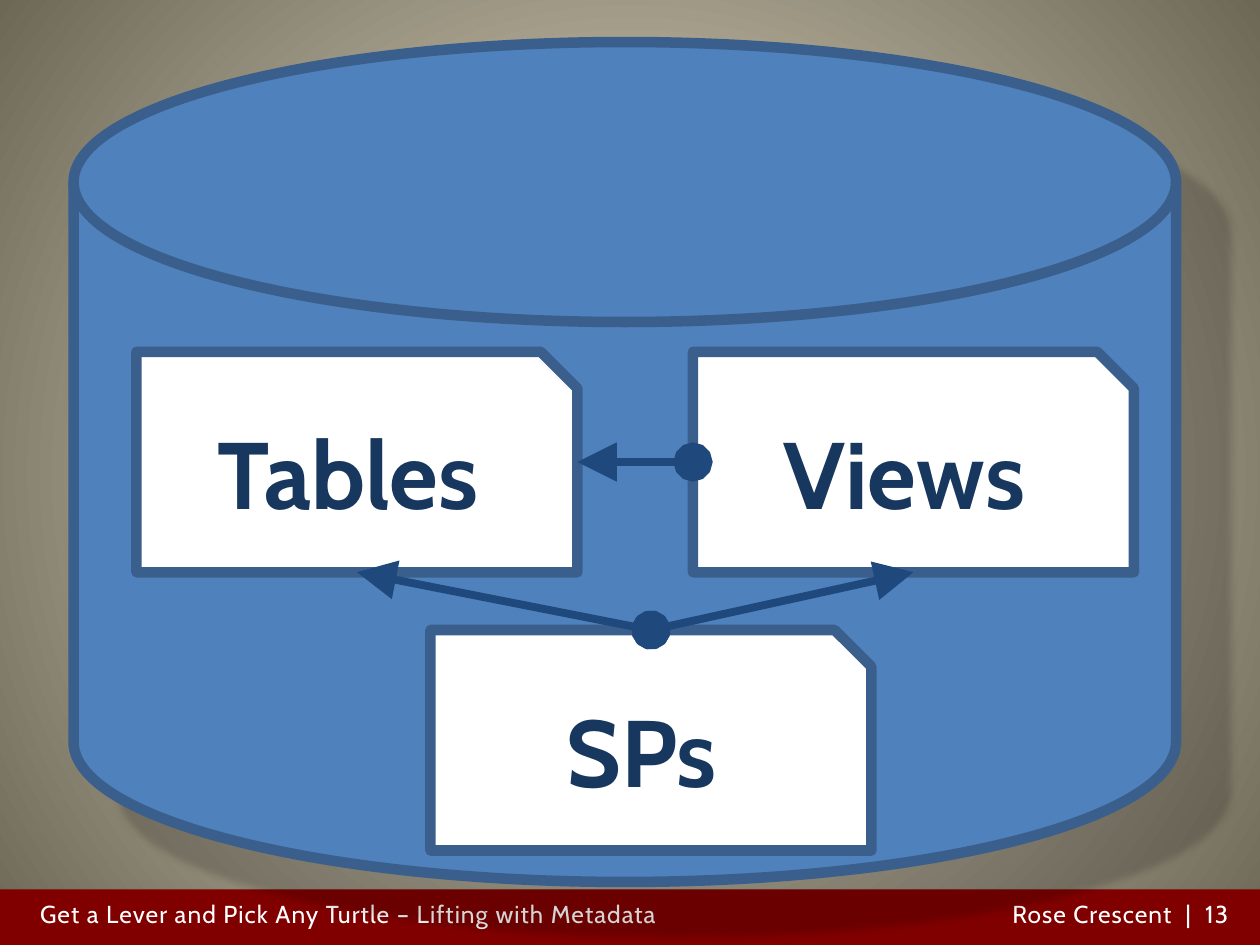
from lxml import etree
from pptx import Presentation
from pptx.dml.color import RGBColor
from pptx.enum.shapes import MSO_CONNECTOR, MSO_SHAPE
from pptx.enum.text import MSO_ANCHOR, PP_ALIGN
from pptx.oxml import parse_xml
from pptx.util import Pt

RECT = MSO_SHAPE.RECTANGLE
DISK = MSO_SHAPE.FLOWCHART_MAGNETIC_DISK
CARD = MSO_SHAPE.SNIP_1_RECTANGLE
LINE = MSO_CONNECTOR.STRAIGHT
MIDDLE = MSO_ANCHOR.MIDDLE
LEFT, CENTER, RIGHT = PP_ALIGN.LEFT, PP_ALIGN.CENTER, PP_ALIGN.RIGHT
NS = "http://schemas.openxmlformats.org/drawingml/2006/main"


def rgb(code):
    return RGBColor.from_string(code)


def add_box(kind, x, y, w, h, fill, edge=None, shade=None):
    box = slide.shapes.add_shape(kind, Pt(x), Pt(y), Pt(w), Pt(h))
    box.shadow.inherit = False
    box.fill.solid()
    box.fill.fore_color.rgb = rgb(fill)
    if edge:
        box.line.color.rgb = rgb(edge)
        box.line.width = Pt(6)
        etree.SubElement(box.line._get_or_add_ln(), f"{{{NS}}}round")
    else:
        box.line.fill.background()
    if shade:
        alpha, blur, dist, angle = shade
        effects = box._element.spPr.find(f"{{{NS}}}effectLst")
        effects.append(parse_xml(
            f'<a:outerShdw xmlns:a="{NS}" blurRad="{Pt(blur)}" dist="{Pt(dist)}" '
            f'dir="{angle * 60000}" algn="tl" rotWithShape="0"><a:srgbClr val="000000">'
            f'<a:alpha val="{alpha * 1000}"/></a:srgbClr></a:outerShdw>'))
    return box


deck = Presentation()
deck.slide_width, deck.slide_height = Pt(720), Pt(540)
slide = deck.slides.add_slide(deck.slide_layouts[6])

# Background: light centre, dark corners
back = slide.background.fill
back.gradient()
grad = slide._element.cSld.find(f".//{{{NS}}}gradFill")
grad.getparent().replace(grad, parse_xml(
    f'<a:gradFill xmlns:a="{NS}" rotWithShape="1"><a:gsLst>'
    '<a:gs pos="0"><a:srgbClr val="ECE6D0"/></a:gs>'
    '<a:gs pos="100000"><a:srgbClr val="6D6756"><a:alpha val="70000"/></a:srgbClr></a:gs>'
    '</a:gsLst><a:path path="circle">'
    '<a:fillToRect l="50000" t="50000" r="50000" b="50000"/></a:path></a:gradFill>'))

# Footer band and its texts
add_box(RECT, 0, 508.3, 720, 31.7, "800000", shade=(35, 3.1, 1.8, 90))
notes = [
    ("Get a Lever and Pick Any Turtle – Lifting with Metadata", 15.8, 511.9, 458, 20.9, LEFT),
    ("Rose Crescent  |  13", 528.5, 506.9, 180.7, 30.2, RIGHT),
]
for words, x, y, w, h, align in notes:
    note = slide.shapes.add_textbox(Pt(x), Pt(y), Pt(w), Pt(h))
    frame = note.text_frame
    frame.word_wrap = True
    frame.vertical_anchor = MIDDLE
    frame.text = words
    para = frame.paragraphs[0]
    para.alignment = align
    run = para.runs[0]
    run.font.name, run.font.size = "Cabin", Pt(14)
    run.font.color.rgb = rgb("FFFFFF")
    run._r.get_or_add_rPr().set("spc", "60")

# Database drum
add_box(DISK, 42, 24, 630, 480, "4F81BD", "3A5F8C", (17, 4, 40, 45))

# Cards
wide, high = 252, 126
cards = {"Tables": (78, 201), "SPs": (246, 360), "Views": (396, 201)}
for name, (x, y) in cards.items():
    card = add_box(CARD, x, y, wide, high, "FFFFFF", "3A5F8C")
    frame = card.text_frame
    frame.vertical_anchor = MIDDLE
    frame.text = name
    para = frame.paragraphs[0]
    para.alignment = CENTER
    font = para.runs[0].font
    font.name, font.size, font.bold = "Cabin", Pt(54), True
    font.color.rgb = rgb("17375E")

# Arrows between cards: name, then the point as shares of width and height
arrows = [
    (("Views", 0, 0.5), ("Tables", 1, 0.5)),
    (("SPs", 0.5, 0), ("Tables", 0.5, 1)),
    (("SPs", 0.5, 0), ("Views", 0.5, 1)),
]
for ends in arrows:
    spots = []
    for name, across, down in ends:
        x, y = cards[name]
        spots += [Pt(x + across * wide), Pt(y + down * high)]
    arrow = slide.shapes.add_connector(LINE, *spots)
    arrow.line.color.rgb = rgb("1F497D")
    arrow.line.width = Pt(4.5)
    ln = arrow.line._get_or_add_ln()
    for tag, kind in (("headEnd", "oval"), ("tailEnd", "triangle")):
        etree.SubElement(ln, f"{{{NS}}}{tag}", type=kind, w="lg", len="lg")
    etree.SubElement(arrow._element.spPr, f"{{{NS}}}effectLst")

deck.save("out.pptx")
